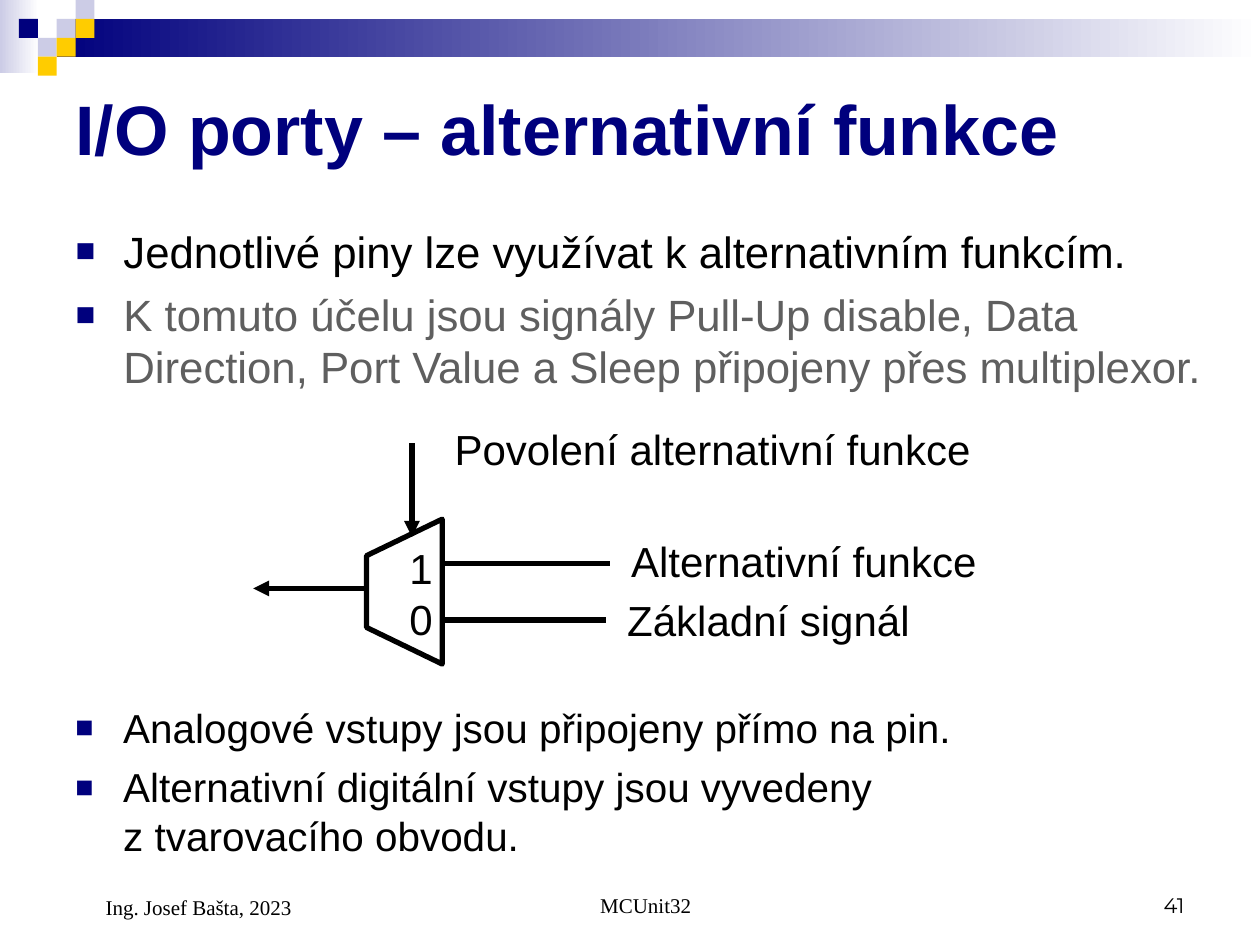
from dataclasses import dataclass

from lxml.etree import SubElement
from pptx import Presentation
from pptx.dml.color import RGBColor
from pptx.enum.shapes import MSO_CONNECTOR, MSO_SHAPE
from pptx.enum.text import MSO_ANCHOR, MSO_AUTO_SIZE, PP_ALIGN
from pptx.oxml.ns import qn
from pptx.util import Inches, Pt

NAVY = RGBColor(0x00, 0x00, 0x7D)
LAVENDER = RGBColor(0xCC, 0xCC, 0xE6)
YELLOW = RGBColor(0xFF, 0xCC, 0x00)
WHITE = RGBColor(0xFF, 0xFF, 0xFF)
BLACK = RGBColor(0x00, 0x00, 0x00)
GRAY = RGBColor(0x5F, 0x5F, 0x5F)
TILE = 0.15


@dataclass
class Tile:
    col: int
    row: int
    color: RGBColor


@dataclass
class Wire:
    start: tuple[float, float]
    end: tuple[float, float]
    arrow: bool = False


@dataclass
class Label:
    text: str
    box: tuple[float, float, float, float]
    size: float = 24
    font: str = "Arial"
    align: PP_ALIGN = PP_ALIGN.LEFT
    anchor: MSO_ANCHOR = MSO_ANCHOR.TOP
    indent: float = 0


@dataclass
class Bullet:
    text: str
    size: float
    color: RGBColor = BLACK


TILES = [
    Tile(2, 1, LAVENDER), Tile(3, 0, LAVENDER), Tile(3, 1, YELLOW),
    Tile(1, 2, LAVENDER), Tile(0, 1, NAVY), Tile(2, 2, YELLOW),
    Tile(1, 3, YELLOW),
]
WIRES = [
    Wire((2.89, 4.67), (2.01, 4.67), True),
    Wire((3.53, 4.47), (4.84, 4.47)),
    Wire((3.5, 4.92), (4.81, 4.92)),
    Wire((3.27, 3.52), (3.27, 4.26), True),
]
LABELS = [
    Label("Základní signál", (4.88, 4.67, 2.57, 0.5)),
    Label("Alternativní funkce", (4.91, 4.2, 3.31, 0.5)),
    Label("1\n0", (3.15, 4.26, 0.48, 0.9)),
    Label("Povolení alternativní funkce", (3.51, 3.31, 4.46, 0.5)),
    Label("MCUnit32", (3.42, 6.83, 3.17, 0.5), 12, "Times New Roman",
          PP_ALIGN.CENTER, MSO_ANCHOR.BOTTOM, 0.24),
    Label("41", (7.17, 6.83, 2.33, 0.5), 12, "Montserrat",
          PP_ALIGN.RIGHT, MSO_ANCHOR.BOTTOM),
    Label("Ing. Josef Bašta, 2023", (0.5, 6.83, 2.33, 0.52), 12,
          "Times New Roman", PP_ALIGN.LEFT, MSO_ANCHOR.BOTTOM, 0.24),
]
TOP_BULLETS = [
    Bullet("Jednotlivé piny lze využívat k alternativním funkcím.", 25),
    Bullet("K tomuto účelu jsou signály Pull-Up disable, Data Direction, "
           "Port Value a Sleep připojeny přes multiplexor.", 25, GRAY),
]
BOTTOM_BULLETS = [
    Bullet("Analogové vstupy jsou připojeny přímo na pin.", 23.1),
    Bullet("Alternativní digitální vstupy jsou vyvedeny\n"
           "z tvarovacího obvodu.", 23.1),
]


def place(sp, box: tuple[float, float, float, float]) -> None:
    sp.left, sp.top, sp.width, sp.height = map(Inches, box)


def format_runs(p, font: str, size: float, color: RGBColor,
                bold: bool = False) -> None:
    for r in p.runs:
        r.font.name = font
        r.font.size = Pt(size)
        r.font.color.rgb = color
        r.font.bold = bold


def add_rect(s, box: tuple[float, float, float, float]):
    sp = s.shapes.add_shape(MSO_SHAPE.RECTANGLE, *map(Inches, box))
    sp.shadow.inherit = False
    sp.line.fill.background()
    return sp


def add_fade(s, box: tuple[float, float, float, float],
             color: RGBColor) -> None:
    fill = add_rect(s, box).fill
    fill.gradient()
    fill.gradient_angle = 0
    for stop, stop_color in zip(fill.gradient_stops, (color, WHITE)):
        stop.color.rgb = stop_color


def add_tile(s, tile: Tile) -> None:
    left, top = TILE * (tile.col + 1), TILE * tile.row
    sp = add_rect(s, (left, top, TILE, TILE))
    sp.fill.solid()
    sp.fill.fore_color.rgb = tile.color


def add_multiplexer(s) -> None:
    builder = s.shapes.build_freeform(Inches(3.51), Inches(4.12), scale=1.0)
    corners = [(3.51, 5.27), (2.91, 4.98), (2.91, 4.41)]
    builder.add_line_segments([(Inches(x), Inches(y)) for x, y in corners],
                              close=True)
    sp = builder.convert_to_shape()
    sp.shadow.inherit = False
    sp.fill.solid()
    sp.fill.fore_color.rgb = WHITE
    sp.line.color.rgb = BLACK
    sp.line.width = Pt(3)


def add_wire(s, wire: Wire) -> None:
    line = s.shapes.add_connector(MSO_CONNECTOR.STRAIGHT,
                                  *map(Inches, wire.start + wire.end))
    line.line.color.rgb = BLACK
    line.line.width = Pt(3)
    if wire.arrow:
        SubElement(line.line._get_or_add_ln(), qn("a:tailEnd"),
                   type="triangle")
    SubElement(line._element.spPr, qn("a:effectLst"))


def add_label(s, label: Label) -> None:
    sp = s.shapes.add_textbox(*map(Inches, label.box))
    tf = sp.text_frame
    tf.word_wrap = True
    tf.vertical_anchor = label.anchor
    p = tf.paragraphs[0]
    p.text = label.text
    p.alignment = label.align
    if label.indent:
        p._p.get_or_add_pPr().set("marL", str(Inches(label.indent)))
    format_runs(p, label.font, label.size, BLACK)


def fill_bullets(tf, bullets: list[Bullet]) -> None:
    tf.word_wrap = True
    tf.auto_size = MSO_AUTO_SIZE.NONE
    for i, bullet in enumerate(bullets):
        p = tf.add_paragraph() if i else tf.paragraphs[0]
        p.text = bullet.text
        pPr = p._p.get_or_add_pPr()
        pPr.set("marL", str(Inches(0.38)))
        pPr.set("indent", str(-Inches(0.38)))
        color = SubElement(pPr, qn("a:buClr"))
        SubElement(color, qn("a:srgbClr"), val=str(NAVY))
        SubElement(pPr, qn("a:buSzPct"), val="75000")
        SubElement(pPr, qn("a:buFont"), typeface="Arial")
        SubElement(pPr, qn("a:buChar"), char="■")
        p.space_before = Pt(6.2 if i else 0)
        format_runs(p, "Arial", bullet.size, bullet.color)


def main() -> None:
    prs = Presentation()
    prs.slide_width, prs.slide_height = Inches(10), Inches(7.5)
    s = prs.slides.add_slide(prs.slide_layouts[1])

    add_fade(s, (0, 0, 0.31, 0.58), LAVENDER)
    add_fade(s, (0.45, 0.15, 9.55, 0.3), NAVY)
    for tile in TILES:
        add_tile(s, tile)

    title = s.shapes.title
    place(title, (0.5, 0.5, 9, 1.03))
    title.text_frame.vertical_anchor = MSO_ANCHOR.MIDDLE
    p = title.text_frame.paragraphs[0]
    p.text = "I/O porty – alternativní funkce"
    p.alignment = PP_ALIGN.LEFT
    format_runs(p, "Arial", 40, NAVY, bold=True)

    body = s.placeholders[1]
    place(body, (0.5, 1.73, 9.24, 1.5))
    fill_bullets(body.text_frame, TOP_BULLETS)

    add_multiplexer(s)
    for wire in WIRES:
        add_wire(s, wire)
    for label in LABELS:
        add_label(s, label)

    notes = s.shapes.add_textbox(*map(Inches, (0.5, 5.53, 9.1, 1.38)))
    fill_bullets(notes.text_frame, BOTTOM_BULLETS)

    prs.save("out.pptx")


if __name__ == "__main__":
    main()
